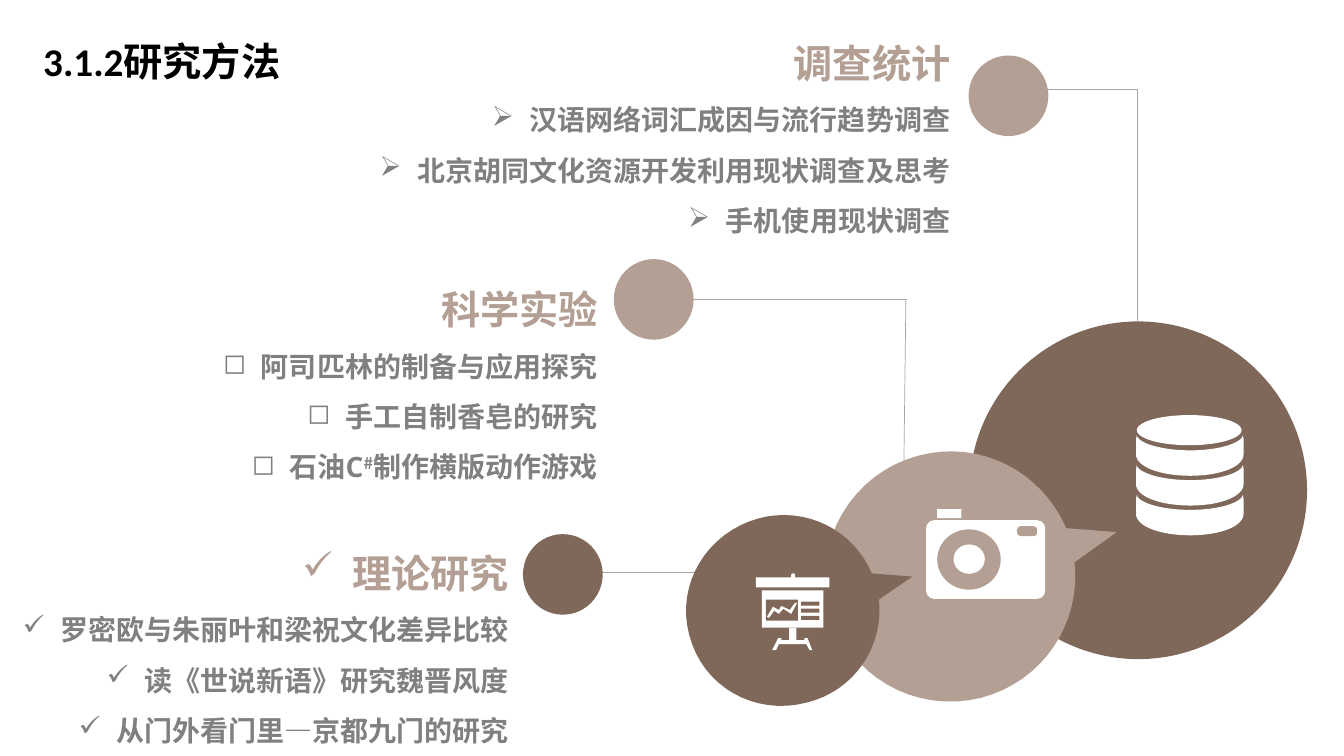
from lxml.etree import SubElement
from pptx import Presentation
from pptx.dml.color import RGBColor
from pptx.enum.shapes import MSO_CONNECTOR, MSO_SHAPE
from pptx.enum.text import MSO_AUTO_SIZE, PP_ALIGN
from pptx.oxml.ns import qn
from pptx.util import Cm, Pt

BROWN, TAN, WHITE, GRAY = "7F685A", "B39F93", "FFFFFF", "808080"
OVAL, RECT, ROUND = MSO_SHAPE.OVAL, MSO_SHAPE.RECTANGLE, MSO_SHAPE.ROUNDED_RECTANGLE

deck = Presentation()
deck.slide_width, deck.slide_height = Cm(33.87), Cm(19.05)
shapes = deck.slides.add_slide(deck.slide_layouts[6]).shapes


def paint(shape, color):
    shape.shadow.inherit = False
    shape.fill.solid()
    shape.fill.fore_color.rgb = RGBColor.from_string(color)
    shape.line.fill.background()


def outline(start, steps, color):
    points = [start]
    for step in steps:
        if len(step) == 2:
            points.append(step)
            continue
        knots = [points[-1], step[:2], step[2:4], step[4:]]
        for i in range(1, 17):
            t = i / 16
            parts = ((1 - t) ** 3, 3 * t * (1 - t) ** 2, 3 * t * t * (1 - t), t ** 3)
            points.append(tuple(sum(p * k[axis] for p, k in zip(parts, knots)) for axis in (0, 1)))
    points = [(Cm(x), Cm(y)) for x, y in points]
    pen = shapes.build_freeform(*points[0])
    pen.add_line_segments(points[1:], close=True)
    paint(pen.convert_to_shape(), color)


for x1, y1, x2, y2 in [
    (15.16, 14.43, 17.6, 14.43),
    (17.45, 7.54, 22.86, 7.54),
    (22.78, 11.63, 22.83, 7.54),
    (26.39, 2.26, 28.68, 2.26),
    (28.65, 8.1, 28.65, 2.26),
]:
    line = shapes.add_connector(MSO_CONNECTOR.STRAIGHT, Cm(x1), Cm(y1), Cm(x2), Cm(y2))
    line.line.color.rgb = RGBColor.from_string("A6A6A6")
    line.line.width = Pt(0.5)
    SubElement(line._element.spPr, qn("a:effectLst"))

for x, y, w, h, color in [
    (24.43, 8.1, 8.51, 8.51, BROWN),
    (24.41, 1.4, 2.01, 2.03, TAN),
    (15.47, 6.53, 2.01, 2.03, TAN),
    (13.18, 13.46, 2.01, 2.03, BROWN),
]:
    paint(shapes.add_shape(OVAL, Cm(x), Cm(y), Cm(w), Cm(h)), color)

outline((27.08, 14.17), [
    (27.25, 15.7, 26.29, 17.17, 24.74, 17.58),
    (23.06, 18.01, 21.34, 17.02, 20.9, 15.32),
    (20.45, 13.64, 21.49, 11.91, 23.16, 11.48),
    (24.71, 11.07, 26.26, 11.89, 26.87, 13.31),
    (28.14, 13.41),
], TAN)
outline((22.15, 15.11), [
    (22.28, 16.28, 21.54, 17.4, 20.35, 17.7),
    (19.02, 18.06, 17.7, 17.3, 17.37, 16),
    (17.02, 14.71, 17.83, 13.41, 19.13, 13.06),
    (20.32, 12.75, 21.51, 13.36, 21.97, 14.45),
    (22.99, 14.53),
], BROWN)

for disk in range(3):
    top = 10.97 + 0.75 * disk
    outline((31.32, top), [
        (31.34, top + 0.1),
        (31.34, top + 0.48),
        (31.34, top + 0.79, 30.76, top + 1.02, 30, top + 1.02),
        (29.23, top + 1.02, 28.63, top + 0.79, 28.63, top + 0.48),
        (28.63, top + 0.1),
        (28.65, top),
        (28.68, top + 0.2, 29.29, top + 0.38, 30, top + 0.38),
        (30.7, top + 0.38, 31.29, top + 0.2, 31.32, top),
    ], WHITE)

lid = [(OVAL, 28.65, 10.46, 2.64, 0.76, WHITE)]
camera = [
    (ROUND, 23.34, 13.11, 3, 1.98, WHITE),
    (RECT, 23.62, 12.83, 0.61, 0.23, WHITE),
    (OVAL, 23.62, 13.34, 1.6, 1.52, TAN),
    (OVAL, 24.03, 13.72, 0.79, 0.74, WHITE),
    (ROUND, 25.63, 13.26, 0.51, 0.25, TAN),
]
board = [
    (RECT, 19.05, 14.55, 1.85, 0.25, WHITE),
    (ROUND, 19.94, 14.45, 0.1, 0.15, WHITE),
    (RECT, 19.2, 14.88, 1.55, 0.94, WHITE),
    (RECT, 19.3, 15.11, 0.81, 0.53, BROWN),
] + [(RECT, 20.19, 15.16 + 0.18 * row, 0.46, 0.1, BROWN) for row in range(3)]
for kind, x, y, w, h, color in lid + camera + board:
    part = shapes.add_shape(kind, Cm(x), Cm(y), Cm(w), Cm(h))
    paint(part, color)
    if kind == ROUND:
        part.adjustments[0] = 0.1 if h > 1 else 0.4

outline((19.89, 15.82), [
    (19.89, 16.13), (19.69, 16.13), (19.69, 16.08), (19.61, 16.08), (19.46, 16.38),
    (19.56, 16.38), (19.63, 16.23), (20.32, 16.23), (20.4, 16.38), (20.47, 16.38),
    (20.35, 16.08), (20.27, 16.08), (20.27, 16.13), (20.07, 16.13), (20.07, 15.82),
], WHITE)
outline((19.96, 15.29), [
    (19.91, 15.37), (19.69, 15.27), (19.63, 15.37), (19.48, 15.29), (19.33, 15.54),
    (19.38, 15.57), (19.51, 15.39), (19.63, 15.47), (19.74, 15.34), (19.94, 15.47),
    (20.09, 15.19), (20.04, 15.19),
], WHITE)

for x, y, w, mark, lines in [
    (-0.48, 12.57, 13.49, "✓", ["理论研究", "罗密欧与朱丽叶和梁祝文化差异比较",
                                "读《世说新语》研究魏晋风度", "从门外看门里—京都九门的研究"]),
    (2.06, 5.92, 13.18, "◻", ["科学实验", "阿司匹林的制备与应用探究",
                              "手工自制香皂的研究", "石油C#制作横版动作游戏"]),
    (9.19, -0.28, 14.94, "➢", ["调查统计", "汉语网络词汇成因与流行趋势调查",
                               "北京胡同文化资源开发利用现状调查及思考", "手机使用现状调查"]),
]:
    frame = shapes.add_textbox(Cm(x), Cm(y), Cm(w), Cm(6.4)).text_frame
    frame.word_wrap = True
    frame.auto_size = MSO_AUTO_SIZE.SHAPE_TO_FIT_TEXT
    frame.margin_left = frame.margin_right = Cm(0.18)
    frame.margin_top = frame.margin_bottom = Cm(0.08)
    for row, text in enumerate(lines):
        para = frame.add_paragraph() if row else frame.paragraphs[0]
        para.alignment = PP_ALIGN.RIGHT
        para.line_spacing = 1.5 if row else 2.0
        if row or mark == "✓":
            props = para._p.get_or_add_pPr()
            dent = Cm(0.95 if row else 1.27)
            props.set("marL", str(dent))
            props.set("indent", str(-dent))
            SubElement(props, qn("a:buChar")).set("char", mark)
        head, sharp, tail = text.partition("#")
        for piece in filter(None, (head, sharp, tail)):
            run = para.add_run()
            run.text = piece
            if piece == "#":
                run.font.name = "Noto Sans CJK SC"
                run._r.get_or_add_rPr().set("baseline", "30000")
        para.font.name = "Open Sans"
        para.font.size = Pt(20 if row else 28)
        para.font.bold = True
        para.font.color.rgb = RGBColor.from_string(GRAY if row else TAN)

frame = shapes.add_textbox(Cm(0.84), Cm(0.81), Cm(6.58), Cm(1.45)).text_frame
frame.word_wrap = True
frame.auto_size = MSO_AUTO_SIZE.SHAPE_TO_FIT_TEXT
title = frame.paragraphs[0]
title.text = "3.1.2研究方法"
title.font.name = "Calibri"
title.font.size = Pt(28)
title.font.bold = True
title.font.color.rgb = RGBColor.from_string("000000")

deck.save("out.pptx")
